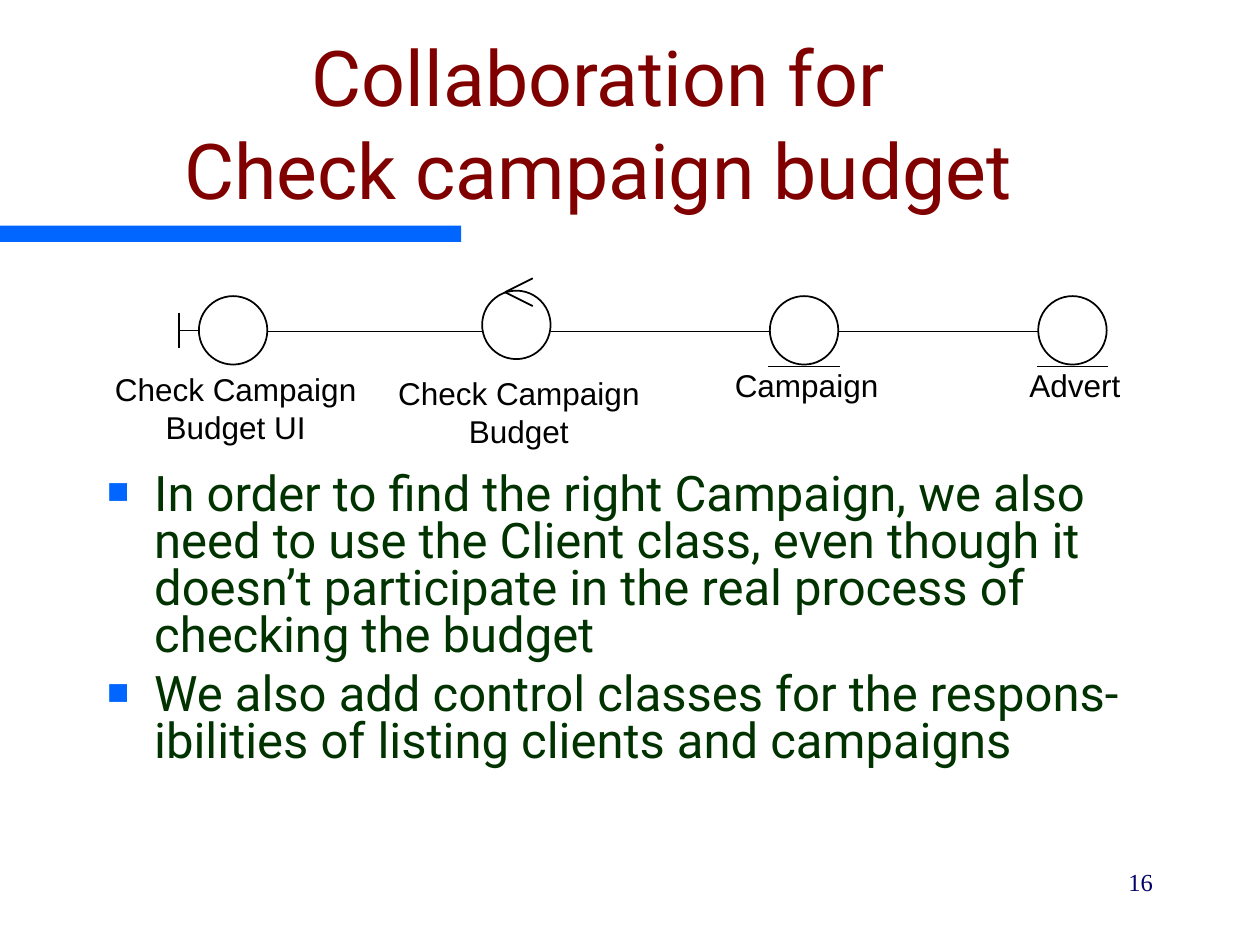
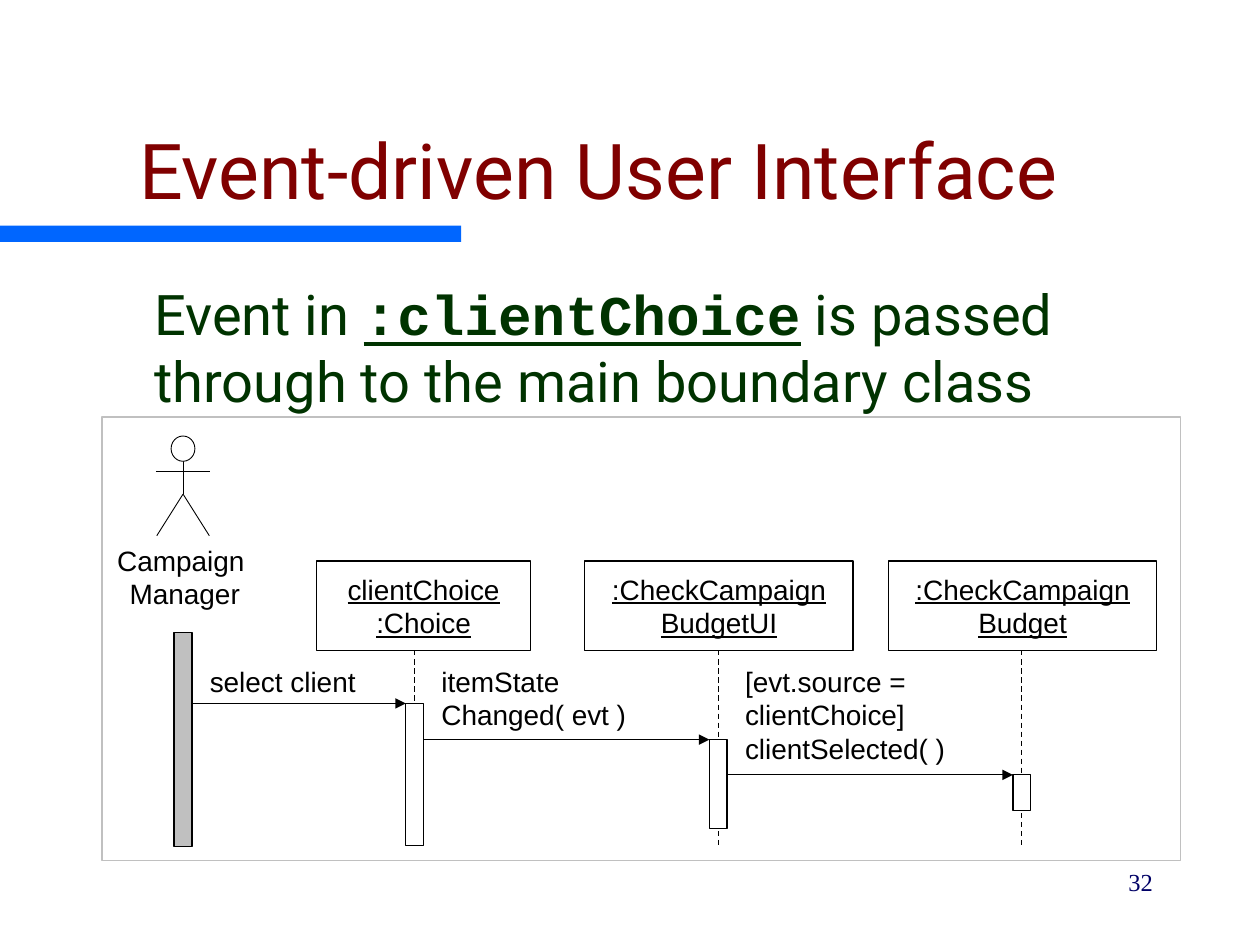
from collections import namedtuple
from itertools import pairwise

import pptx
import pptx.dml.color
import pptx.enum.dml
import pptx.enum.shapes
import pptx.enum.text
import pptx.oxml
import pptx.oxml.ns
import pptx.util
from lxml import etree

Cm = pptx.util.Cm
Pt = pptx.util.Pt
RGBColor = pptx.dml.color.RGBColor
SHAPE = pptx.enum.shapes.MSO_SHAPE
ALIGN = pptx.enum.text.PP_ALIGN
ANCHOR = pptx.enum.text.MSO_ANCHOR
AUTO_SIZE = pptx.enum.text.MSO_AUTO_SIZE
qn = pptx.oxml.ns.qn

# Colours and fonts
BLACK = RGBColor(0x00, 0x00, 0x00)
WHITE = RGBColor(0xFF, 0xFF, 0xFF)
SILVER = RGBColor(0xC0, 0xC0, 0xC0)
BLUE = RGBColor(0x00, 0x66, 0xFF)
MAROON = RGBColor(0x80, 0x00, 0x00)
GREEN = RGBColor(0x00, 0x33, 0x00)
NAVY = RGBColor(0x00, 0x00, 0x66)
HEADING_FONT = "Roboto"
DIAGRAM_FONT = "Arial"
CODE_FONT = "Courier New"
NUMBER_FONT = "Times New Roman"

# Boxes, in centimetres
Box = namedtuple("Box", "left top width height")
BAND = Box(0, 4.55, 9.3, 0.33)
TITLE = Box(0.64, 1.27, 22.86, 3.18)
PAGE_NUMBER = Box(18.21, 17.35, 5.28, 1.27)
COLLABORATION = Box(2.03, 5.61, 22.33, 3.58)
COLLABORATION_NOTES = Box(1.91, 9.42, 21.59, 7.52)
SEQUENCE = Box(2.06, 8.41, 21.74, 8.94)
EVENT_NOTE = Box(1.91, 5.51, 21.59, 11.43)

HANGING = 0.95
RADIUS = 0.69
BAR_WIDTH = 0.36
LIFELINE_END = 8.66


def cm_box(box):
    return [Cm(length) for length in box]


def set_font(font, name, size, color, underline=None):
    font.name = name
    font.size = Pt(size)
    font.color.rgb = color
    font.underline = underline


def add_shape(slide, preset, box, fill=WHITE, line=BLACK, weight=0.75):
    shape = slide.shapes.add_shape(preset, *cm_box(box))
    shape.shadow.inherit = False
    shape.fill.solid()
    shape.fill.fore_color.rgb = fill
    if line is None:
        shape.line.fill.background()
    else:
        shape.line.color.rgb = line
        shape.line.width = Pt(weight)
    return shape


def add_line(slide, x1, y1, x2, y2, weight=0.75, dashed=False, arrow=False):
    line = slide.shapes.add_connector(
        pptx.enum.shapes.MSO_CONNECTOR.STRAIGHT, Cm(x1), Cm(y1), Cm(x2), Cm(y2))
    line.line.color.rgb = BLACK
    line.line.width = Pt(weight)
    if dashed:
        line.line.dash_style = pptx.enum.dml.MSO_LINE.DASH
    properties = line.element.spPr
    if arrow:
        etree.SubElement(properties.find(qn("a:ln")), qn("a:tailEnd"), type="triangle")
    etree.SubElement(properties, qn("a:effectLst"))


def add_text_frame(slide, box, margins=True):
    frame = slide.shapes.add_textbox(*cm_box(box)).text_frame
    frame.word_wrap = True
    if not margins:
        frame.margin_left = frame.margin_right = 0
        frame.margin_top = frame.margin_bottom = 0
    return frame


def write(frame, texts, font, size, color, align=ALIGN.LEFT, before=0, underline=None):
    """Write one paragraph per text; a line feed inside a text breaks the line."""
    for index, text in enumerate(texts):
        paragraph = frame.add_paragraph() if index else frame.paragraphs[0]
        paragraph.text = text
        paragraph.alignment = align
        paragraph.space_before = Pt(before)
        set_font(paragraph.font, font, size, color, underline)


def add_square_bullet(paragraph):
    properties = paragraph._p.get_or_add_pPr()
    properties.set("marL", str(Cm(HANGING)))
    properties.set("indent", str(-Cm(HANGING)))
    bullet = pptx.oxml.parse_xml(
        f'<a:pPr {pptx.oxml.ns.nsdecls("a")}><a:buClr><a:srgbClr val="{BLUE}"/></a:buClr>'
        '<a:buSzPct val="75000"/><a:buFont typeface="Arial"/><a:buChar char="■"/></a:pPr>')
    place = len(properties.findall(qn("a:lnSpc")) + properties.findall(qn("a:spcBef")))
    for offset, part in enumerate(list(bullet)):
        properties.insert(place + offset, part)


# Shared slide frame: band, title and page number
def add_base_slide(deck, title_text, number):
    slide = deck.slides.add_slide(deck.slide_layouts[5])
    add_shape(slide, SHAPE.RECTANGLE, BAND, fill=BLUE, line=None)
    title = slide.shapes.title
    title.left, title.top, title.width, title.height = cm_box(TITLE)
    frame = title.text_frame
    frame.auto_size = AUTO_SIZE.NONE
    frame.word_wrap = True
    frame.vertical_anchor = ANCHOR.BOTTOM
    write(frame, [title_text], HEADING_FONT, 44, MAROON, ALIGN.CENTER)
    write(add_text_frame(slide, PAGE_NUMBER), [number], NUMBER_FONT, 14, NAVY,
          ALIGN.RIGHT, before=8.8)
    return slide


# Collaboration diagram: boundary, control and entity classes in a row
def add_class_symbol(slide, kind, center, top):
    middle = top + RADIUS
    add_shape(slide, SHAPE.OVAL, Box(center - RADIUS, top, 2 * RADIUS, 2 * RADIUS), weight=1)
    if kind == "boundary":
        bar = center - 1.09
        add_line(slide, bar, middle - 0.36, bar, middle + 0.36, weight=1)
        add_line(slide, bar, middle, center - RADIUS, middle, weight=1)
    elif kind == "control":
        tip = top + 0.03
        for rise in (-0.28, 0.28):
            add_line(slide, center - 0.23, tip, center + 0.33, tip + rise, weight=1)
    else:
        base = top + 1.42
        add_line(slide, center - 0.72, base, center + 0.72, base, weight=1)


def add_collaboration(slide, box):
    # kind, name, centre, circle top, label top
    classes = [
        ("boundary", "Check Campaign Budget UI", 2.67, 0.36, 1.73),
        ("control", "Check Campaign Budget", 8.38, 0.25, 1.8),
        ("entity", "Campaign", 14.18, 0.36, 1.65),
        ("entity", "Advert", 19.59, 0.36, 1.65),
    ]
    link_y = box.top + 1.07
    for (_, _, start, *_), (_, _, end, *_) in pairwise(classes):
        add_line(slide, box.left + start + RADIUS, link_y, box.left + end - RADIUS, link_y)
    label_width = 5.38
    for kind, name, center, top, label_top in classes:
        x = box.left + center
        add_class_symbol(slide, kind, x, box.top + top)
        label = Box(x + 0.05 - label_width / 2, box.top + label_top, label_width, 1.78)
        write(add_text_frame(slide, label), [name], DIAGRAM_FONT, 18, BLACK,
              ALIGN.CENTER, before=11.2)


def add_collaboration_notes(slide, box):
    frame = add_text_frame(slide, box)
    write(frame, [
        "In order to find the right Campaign, we also need to use the Client class, even "
        "though it doesn’t participate in the real process of checking the budget",
        "We also add control classes for the respons-ibilities of listing clients and campaigns",
    ], HEADING_FONT, 28, GREEN, before=7)
    for paragraph in frame.paragraphs:
        paragraph.line_spacing = 0.8
        add_square_bullet(paragraph)


# Sequence diagram: actor, objects with lifelines, messages
def add_actor(slide, name, x, top, label_left):
    hip, feet = top + 1.55, top + 2.39
    add_line(slide, x, top + 0.86, x, hip, weight=0.5)
    add_line(slide, x - 0.55, top + 1.09, x + 0.55, top + 1.09, weight=0.5)
    for foot in (-0.53, 0.53):
        add_line(slide, x, hip, x + foot, feet, weight=0.5)
    add_shape(slide, SHAPE.OVAL, Box(x - 0.24, top + 0.38, 0.48, 0.51), weight=0.5)
    label = add_text_frame(slide, Box(label_left, top + 2.54, 3.33, 1.65), margins=False)
    write(label, [name], DIAGRAM_FONT, 16, BLACK, ALIGN.CENTER)


def add_activation(slide, x, top, height, fill=WHITE):
    add_shape(slide, SHAPE.RECTANGLE, Box(x - BAR_WIDTH / 2, top, BAR_WIDTH, height), fill)


def add_object(slide, name, x, header, end):
    add_line(slide, x, header.top + header.height, x, end, dashed=True)
    frame = add_shape(slide, SHAPE.RECTANGLE, header).text_frame
    frame.word_wrap = False
    frame.vertical_anchor = ANCHOR.MIDDLE
    write(frame, [name], DIAGRAM_FONT, 16, BLACK, ALIGN.CENTER, underline=True)


def add_sequence(slide, box):
    # name, lifeline, header left, header width, activation top and height
    objects = [
        ("clientChoice\n:Choice", 6.3, 4.32, 4.32, 5.77, 2.87),
        (":CheckCampaign\nBudgetUI", 12.42, 9.73, 5.41, 6.5, 1.8),
        (":CheckCampaign\nBudget", 18.54, 15.85, 5.41, 7.21, 0.72),
    ]
    messages = [
        (["select client"], 3.2),
        (["itemState", "Changed( evt )"], 3.9),
        (["[evt.source = clientChoice] clientSelected( )"], 4.29),
    ]
    add_shape(slide, SHAPE.RECTANGLE, box, line=SILVER)
    sender = box.left + 1.63
    add_actor(slide, "Campaign \nManager", sender, box.top, box.left)
    add_activation(slide, sender, box.top + 4.34, LIFELINE_END - 4.34, SILVER)
    for (name, x, left, width, start, height), (message, text_width) in zip(objects, messages):
        receiver, arrow_y = box.left + x, box.top + start
        header = Box(box.left + left, box.top + 2.9, width, 1.8)
        add_object(slide, name, receiver, header, box.top + LIFELINE_END)
        add_activation(slide, receiver, arrow_y, height)
        add_line(slide, sender + BAR_WIDTH / 2, arrow_y, receiver - BAR_WIDTH / 2, arrow_y,
                 arrow=True)
        label = Box(sender + 0.54, box.top + 4.98, text_width, 0.68 * len(message))
        write(add_text_frame(slide, label, margins=False), message, DIAGRAM_FONT, 16, BLACK)
        sender = receiver


def add_event_note(slide, box):
    paragraph = add_text_frame(slide, box).paragraphs[0]
    paragraph.space_before = Pt(8)
    paragraph._p.get_or_add_pPr().set("marL", str(Cm(HANGING)))
    for text, is_code in [("Event in ", False), (":clientChoice", True),
                          (" is passed through to the main boundary class", False)]:
        run = paragraph.add_run()
        run.text = text
        set_font(run.font, CODE_FONT if is_code else HEADING_FONT, 32, GREEN, is_code)
        run.font.bold = is_code


def main():
    deck = pptx.Presentation()
    deck.slide_width, deck.slide_height = Cm(25.4), Cm(19.05)

    collaboration = add_base_slide(deck, "Collaboration for\nCheck campaign budget", "16")
    add_collaboration_notes(collaboration, COLLABORATION_NOTES)
    add_collaboration(collaboration, COLLABORATION)

    events = add_base_slide(deck, "Event-driven User Interface", "32")
    add_sequence(events, SEQUENCE)
    add_event_note(events, EVENT_NOTE)

    deck.save("out.pptx")


if __name__ == "__main__":
    main()
